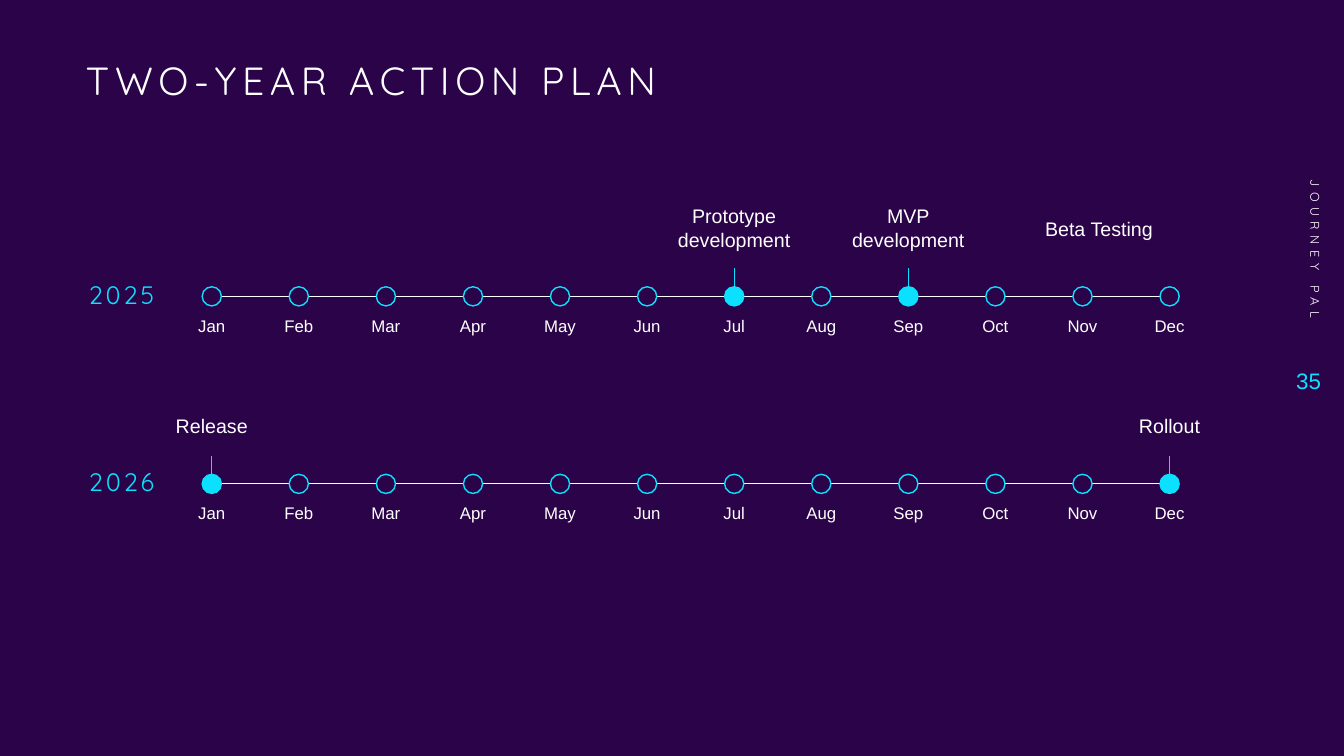
"""Build the two-year action plan slide with one monthly timeline per year."""
from lxml.etree import SubElement
from pptx import Presentation
from pptx.dml.color import RGBColor
from pptx.enum.shapes import MSO_CONNECTOR, MSO_SHAPE
from pptx.enum.text import MSO_ANCHOR, PP_ALIGN
from pptx.oxml.ns import qn
from pptx.util import Inches, Pt

TITLE = "TWO-YEAR ACTION PLAN"
SIDE_LABEL = "JOURNEY PAL"
PAGE_NUMBER = "35"
MONTHS = ["Jan", "Feb", "Mar", "Apr", "May", "Jun",
          "Jul", "Aug", "Sep", "Oct", "Nov", "Dec"]
TIMELINES = [
    {"year": "2025", "axis": 2.94, "callout_top": 1.94,
     "milestones": {"Jul": ["Prototype", "development"],
                    "Sep": ["MVP", "development"]}},
    {"year": "2026", "axis": 4.8, "callout_top": 3.9,
     "milestones": {"Jan": ["Release"], "Dec": ["Rollout"]}},
]
FREE_CALLOUT = (["Beta Testing"], 10.9, 1.95)

PURPLE = RGBColor(0x2B, 0x03, 0x48)
CYAN = RGBColor(0x0B, 0xE1, 0xFF)
WHITE = RGBColor(0xFF, 0xFF, 0xFF)
HEADING_FONT, BODY_FONT = "Quicksand", "Arial"

FIRST_CENTER, LAST_CENTER = 2.1, 11.6
PITCH = (LAST_CENTER - FIRST_CENTER) / (len(MONTHS) - 1)
MARKER = 0.19
MONTH_WIDTH, CALLOUT_WIDTH = 0.54, 1.57


def add_text(slide, lines, left, top, width, height, size, color=WHITE, font=BODY_FONT,
             align=PP_ALIGN.CENTER, anchor=MSO_ANCHOR.MIDDLE, line_spacing=None, tracking=0):
    shape = slide.shapes.add_textbox(Inches(left), Inches(top), Inches(width), Inches(height))
    frame = shape.text_frame
    frame.word_wrap = True
    frame.vertical_anchor = anchor
    if align == PP_ALIGN.CENTER:
        frame.margin_left = frame.margin_right = 0
    frame.text = "\n".join(lines)
    for paragraph in frame.paragraphs:
        paragraph.alignment = align
        paragraph.line_spacing = line_spacing
        paragraph.font.size = Pt(size)
        paragraph.font.name = font
        paragraph.font.color.rgb = color
        if tracking:
            for run in paragraph.runs:
                run.font._element.set("spc", str(tracking * 100))
    return shape


def add_line(slide, start_x, start_y, end_x, end_y, color):
    line = slide.shapes.add_connector(MSO_CONNECTOR.STRAIGHT, Inches(start_x), Inches(start_y),
                                      Inches(end_x), Inches(end_y))
    line.line.color.rgb = color
    line.line.width = Pt(0.5)
    SubElement(line._element.spPr, qn("a:effectLst"))


def add_marker(slide, center, axis, filled):
    marker = slide.shapes.add_shape(MSO_SHAPE.OVAL, Inches(center - MARKER / 2),
                                    Inches(axis - MARKER / 2), Inches(MARKER), Inches(MARKER))
    marker.shadow.inherit = False
    marker.line.color.rgb = CYAN
    marker.line.width = Pt(1)
    if filled:
        marker.fill.solid()
        marker.fill.fore_color.rgb = CYAN
    else:
        marker.fill.background()


def add_callout(slide, lines, center, top):
    add_text(slide, lines, center - CALLOUT_WIDTH / 2, top, CALLOUT_WIDTH, 0.64, 14)


def add_timeline(slide, year, axis, callout_top, milestones):
    add_text(slide, [year], 0.55, axis - 0.28, 1.31, 0.55, 18, CYAN, HEADING_FONT,
             line_spacing=0.9, tracking=2)
    for index, month in enumerate(MONTHS):
        center = FIRST_CENTER + index * PITCH
        if index < len(MONTHS) - 1:
            add_line(slide, center + MARKER / 2, axis, center + PITCH - MARKER / 2, axis, WHITE)
        add_marker(slide, center, axis, month in milestones)
        add_text(slide, [month], center - MONTH_WIDTH / 2, axis + 0.09, MONTH_WIDTH, 0.99, 12,
                 anchor=MSO_ANCHOR.TOP, line_spacing=1.25)
        if month in milestones:
            add_line(slide, center, axis - 0.28, center, axis + 0.1, CYAN)
            add_callout(slide, milestones[month], center, callout_top)


def main():
    presentation = Presentation()
    presentation.slide_width, presentation.slide_height = Inches(13.33), Inches(7.5)
    slide = presentation.slides.add_slide(presentation.slide_layouts[6])
    slide.background.fill.solid()
    slide.background.fill.fore_color.rgb = PURPLE

    add_text(slide, [TITLE], 0.75, 0.56, 11.5, 0.8, 28, font=HEADING_FONT,
             align=PP_ALIGN.LEFT, anchor=MSO_ANCHOR.TOP, line_spacing=0.9, tracking=4)
    for timeline in TIMELINES:
        add_timeline(slide, **timeline)
    add_callout(slide, *FREE_CALLOUT)
    side_label = add_text(slide, [SIDE_LABEL], 11.53, 1.54, 3.03, 0.4, 9, font=HEADING_FONT,
                          align=PP_ALIGN.RIGHT, tracking=4)
    side_label.rotation = 90
    add_text(slide, [PAGE_NUMBER], 12.6, 3.46, 0.6, 0.63, 16, CYAN, align=PP_ALIGN.RIGHT)
    presentation.save("out.pptx")


if __name__ == "__main__":
    main()
